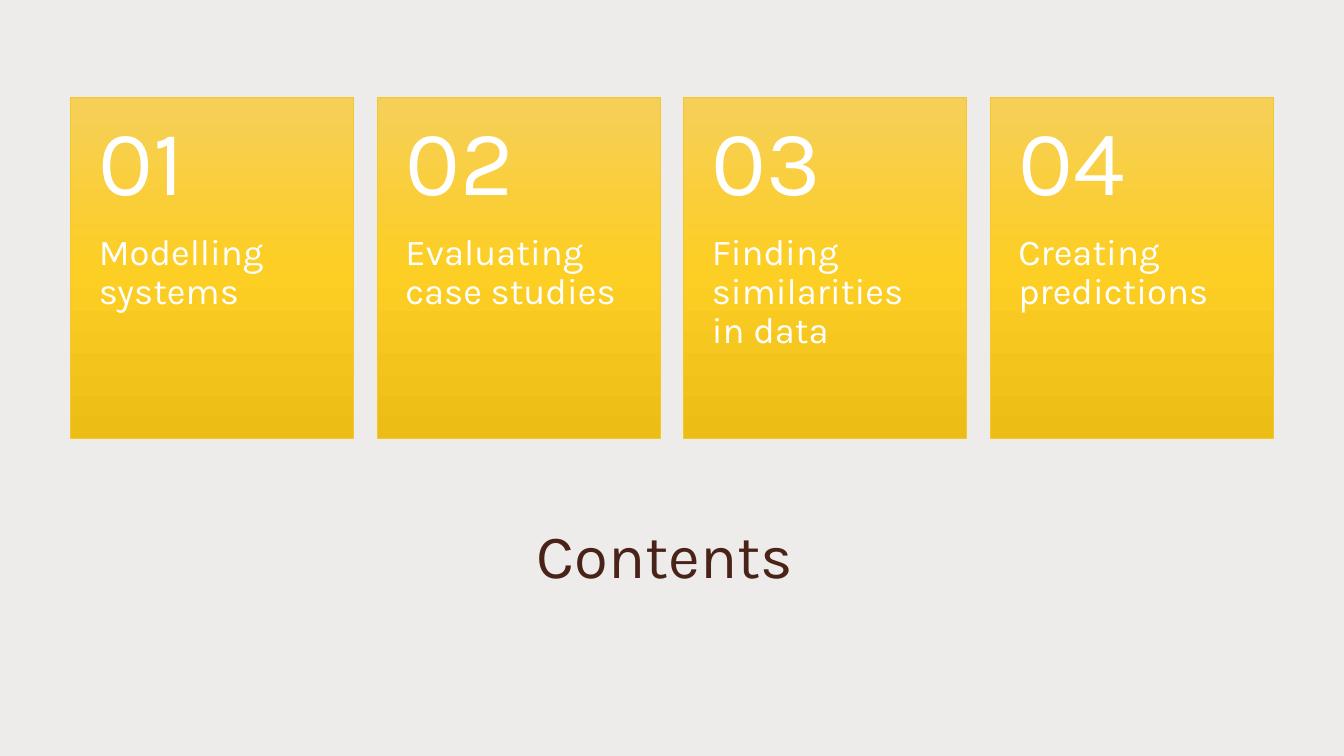
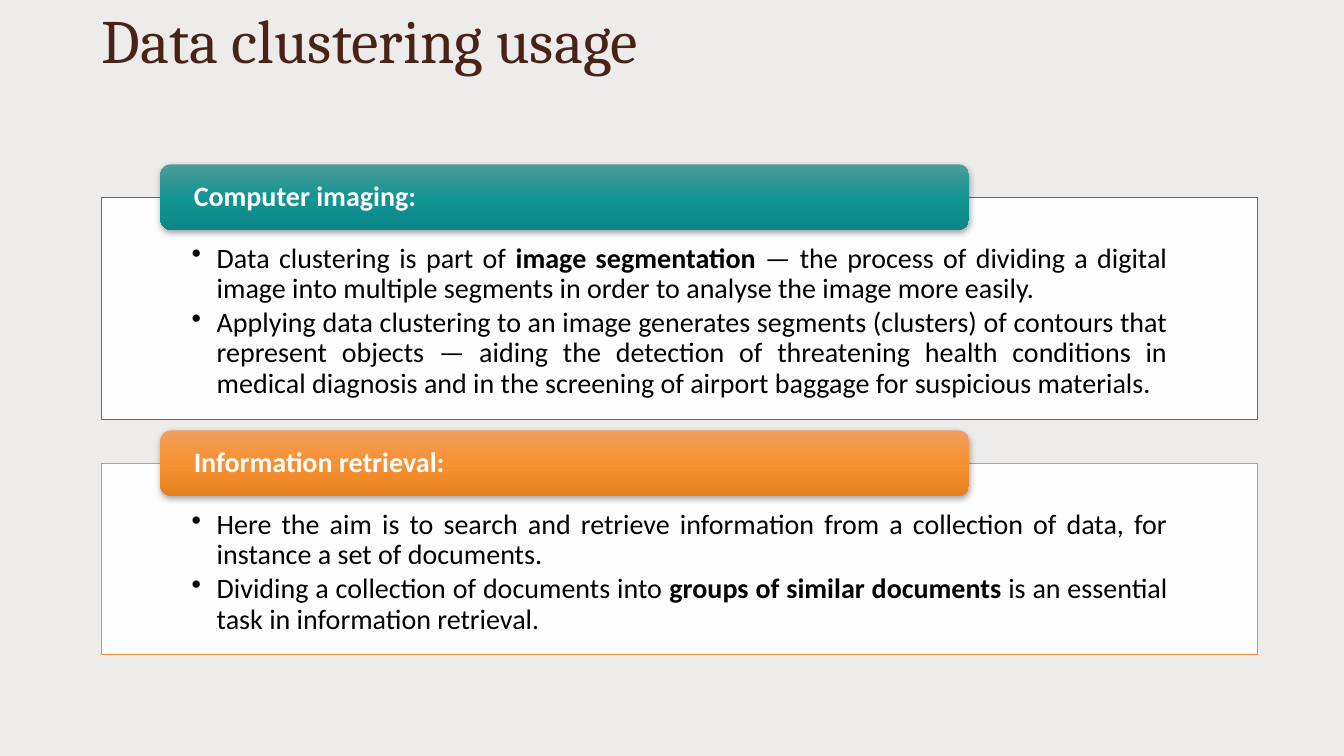
from copy import deepcopy
from dataclasses import dataclass

from lxml import etree
from pptx import Presentation
from pptx.dml.color import RGBColor
from pptx.enum import shapes, text
from pptx.oxml import ns
from pptx.util import Inches, Pt


# Theme
@dataclass(frozen=True)
class Theme:
    background: str = "EDECEB"
    title: str = "4A2318"
    white: str = "FFFFFF"
    black: str = "000000"
    panel: str = "FDFDFD"
    yellow: tuple = ("F6CF58", "FDCE24", "ECBD15")
    yellow_line: str = "F3C82E"
    teal: tuple = ("4E9C9B", "129493", "0B8988")
    teal_line: str = "188E8D"
    orange: tuple = ("F29E5E", "F79131", "E68022")
    orange_line: str = "EE913A"
    card_font: str = "Karla"
    title_font: str = "Cambria"
    body_font: str = "Calibri"
    title_size: int = 44
    number_size: int = 66
    label_size: int = 26
    body_size: int = 20


THEME = Theme()
ALIGN = text.PP_ALIGN
ANCHOR = text.MSO_ANCHOR
SHAPE = shapes.MSO_SHAPE

# Content: each bullet is a list of (words, bold) runs
CONTENTS_TITLE = "Contents"
CARDS = ["Modelling systems", "Evaluating case studies",
         "Finding similarities in data", "Creating predictions"]
USAGE_TITLE = "Data clustering usage"
PANELS = [
    dict(heading="Computer imaging:", height=2.2,
         gradient=THEME.teal, line=THEME.teal_line,
         bullets=[
             [("Data clustering is part of ", False),
              ("image segmentation ", True),
              ("— the process of dividing a digital image into multiple "
               "segments in order to analyse the image more easily.", False)],
             [("Applying data clustering to an image generates segments "
               "(clusters) of contours that represent objects — aiding the "
               "detection of threatening health conditions in medical "
               "diagnosis and in the screening of airport baggage for "
               "suspicious materials.", False)],
         ]),
    dict(heading="Information retrieval:", height=1.89,
         gradient=THEME.orange, line=THEME.orange_line,
         bullets=[
             [("Here the aim is to search and retrieve information from a "
               "collection of data, for instance a set of documents.", False)],
             [("Dividing a collection of documents into ", False),
              ("groups of similar documents", True),
              (" is an essential task in information retrieval.", False)],
         ]),
]


# Shared helpers
def color(value):
    return RGBColor.from_string(value)


def set_all(target, values):
    for name, value in values.items():
        setattr(target, name, value)


def add_slide(presentation):
    slide = presentation.slides.add_slide(presentation.slide_layouts[6])
    slide.background.fill.solid()
    slide.background.fill.fore_color.rgb = color(THEME.background)
    return slide


def add_box(slide, kind, box, fill, line=None):
    shape = slide.shapes.add_shape(kind, *map(Inches, box))
    shape.shadow.inherit = False
    if isinstance(fill, tuple):
        fill_gradient(shape, fill)
    else:
        shape.fill.solid()
        shape.fill.fore_color.rgb = color(fill)
    if line:
        shape.line.color.rgb = color(line)
        shape.line.width = Pt(0.5)
    else:
        shape.line.fill.background()
    return shape


def fill_gradient(shape, colors):
    shape.fill.gradient()
    shape.fill.gradient_angle = 270
    stop_list = shape._element.spPr.find(".//" + ns.qn("a:gsLst"))
    stop_list.append(deepcopy(stop_list[0]))
    for index, stop in enumerate(shape.fill.gradient_stops):
        stop.position = index / (len(colors) - 1)
        stop.color.rgb = color(colors[index])


def add_shadow(shape):
    effects = shape._element.spPr.find(ns.qn("a:effectLst"))
    shadow = etree.SubElement(effects, ns.qn("a:outerShdw"), blurRad=str(Pt(4.5)),
                              dist=str(Pt(1.5)), dir="5400000", rotWithShape="0")
    shade = etree.SubElement(shadow, ns.qn("a:srgbClr"), val=THEME.black)
    etree.SubElement(shade, ns.qn("a:alpha"), val="35000")


def add_bullet(paragraph):
    properties = paragraph._p.get_or_add_pPr()
    properties.set("marL", str(Inches(0.25)))
    properties.set("indent", str(Inches(-0.25)))
    etree.SubElement(properties, ns.qn("a:buChar"), char="•")


def write(shape, paragraphs, font, size, ink, insets, align=ALIGN.LEFT,
          anchor=ANCHOR.TOP, spacing=0.9, bullets=False):
    frame = shape.text_frame
    left, top, right, bottom = map(Inches, insets)
    set_all(frame, dict(word_wrap=True, vertical_anchor=anchor, margin_left=left,
                        margin_top=top, margin_right=right, margin_bottom=bottom))
    for index, runs in enumerate(paragraphs):
        paragraph = frame.add_paragraph() if index else frame.paragraphs[0]
        if bullets:
            add_bullet(paragraph)
        set_all(paragraph, dict(alignment=align, line_spacing=spacing,
                                space_after=Pt(3 if bullets else 0)))
        for words, bold in runs:
            run = paragraph.add_run()
            run.text = words
            set_all(run.font, dict(name=font, size=Pt(size), bold=bold))
            run.font.color.rgb = color(ink)


def add_title(slide, words, font, box):
    title = slide.shapes.add_textbox(*map(Inches, box))
    write(title, [[(words, False)]], font, THEME.title_size, THEME.title,
          (0.1, 0.05, 0.1, 0.05), ALIGN.CENTER, spacing=0.89)


# Contents slide: four equal cards
def build_contents(presentation):
    slide = add_slide(presentation)
    add_title(slide, CONTENTS_TITLE, THEME.card_font, (0.63, 5.17, 11.93, 1.62))
    left, top, width, height, gap, number_height = 0.7, 0.97, 2.81, 3.38, 0.23, 1.35
    for index, label in enumerate(CARDS):
        x = left + index * (width + gap)
        card = add_box(slide, SHAPE.RECTANGLE, (x, top, width, height),
                       THEME.yellow, THEME.yellow_line)
        write(card, [[(label, False)]], THEME.card_font, THEME.label_size,
              THEME.white, (0.28, number_height, 0.28, 0.36))
        number = slide.shapes.add_textbox(
            *map(Inches, (x, top, width, number_height)))
        write(number, [[(f"{index + 1:02}", False)]], THEME.card_font,
              THEME.number_size, THEME.white, (0.28, 0.18, 0.28, 0.18),
              anchor=ANCHOR.MIDDLE)


# Usage slide: stacked panels, each with a heading tab over its top edge
def build_usage(presentation):
    slide = add_slide(presentation)
    add_title(slide, USAGE_TITLE, THEME.title_font, (0.49, 0.06, 6.36, 0.8))
    left, top, width, gap = 1.01, 1.96, 11.46, 0.44
    for panel in PANELS:
        body = add_box(slide, SHAPE.RECTANGLE, (left, top, width, panel["height"]),
                       THEME.panel, panel["line"])
        write(body, panel["bullets"], THEME.body_font, THEME.body_size,
              THEME.black, (0.89, 0.46, 0.89, 0.16), ALIGN.JUSTIFY, bullets=True)
        tab = add_box(slide, SHAPE.ROUNDED_RECTANGLE,
                      (left + 0.58, top - 0.33, 8.02, 0.65), panel["gradient"])
        add_shadow(tab)
        write(tab, [[(panel["heading"], True)]], THEME.body_font, THEME.body_size,
              THEME.white, (0.3, 0, 0.3, 0), anchor=ANCHOR.MIDDLE)
        top += panel["height"] + gap


def main():
    presentation = Presentation()
    presentation.slide_width = Inches(13.33)
    presentation.slide_height = Inches(7.5)
    build_contents(presentation)
    build_usage(presentation)
    presentation.save("out.pptx")


if __name__ == "__main__":
    main()
